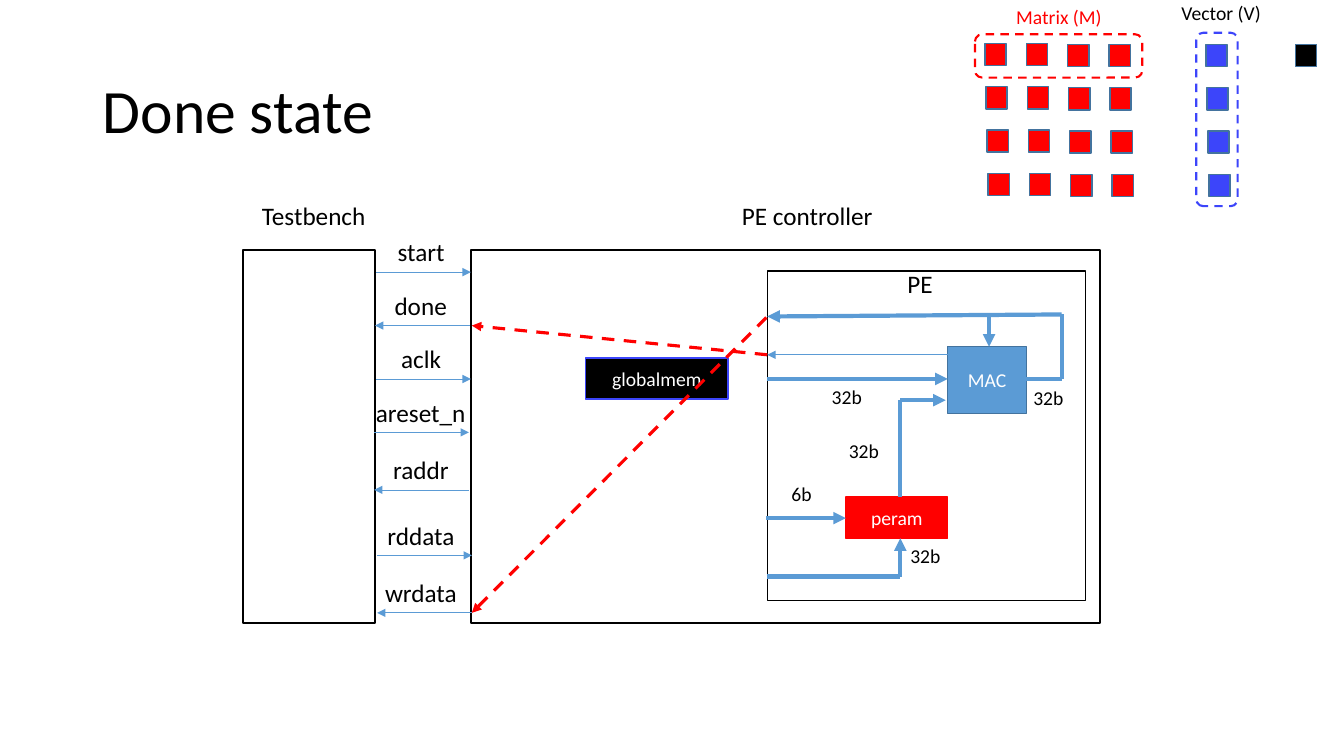
from lxml import etree
from pptx import Presentation
from pptx.dml.color import RGBColor
from pptx.enum.dml import MSO_LINE
from pptx.enum.shapes import MSO_CONNECTOR, MSO_SHAPE
from pptx.enum.text import MSO_ANCHOR, MSO_AUTO_SIZE, PP_ALIGN
from pptx.oxml.ns import qn
from pptx.util import Inches, Pt

RECTANGLE = MSO_SHAPE.RECTANGLE
ROUNDED = MSO_SHAPE.ROUNDED_RECTANGLE
STRAIGHT = MSO_CONNECTOR.STRAIGHT
DASH = MSO_LINE.DASH
MIDDLE = MSO_ANCHOR.MIDDLE
TOP = MSO_ANCHOR.TOP
CENTER = PP_ALIGN.CENTER
LEFT = PP_ALIGN.LEFT
FIT_SHAPE = MSO_AUTO_SIZE.SHAPE_TO_FIT_TEXT
NO_FIT = MSO_AUTO_SIZE.NONE

BLACK, WHITE, RED = "000000", "FFFFFF", "FF0000"
SKY, STEEL, INDIGO = "5B9BD5", "43739E", "3C45FA"


def color(value):
    return RGBColor.from_string(value)


class Diagram:
    font = "Calibri"

    def __init__(self, page):
        self.page = page

    def set_text(self, frame, text, size=14, ink=BLACK, align=LEFT, anchor=TOP, spacing=None):
        frame.vertical_anchor = anchor
        para = frame.paragraphs[0]
        para.alignment = align
        para.line_spacing = spacing
        span = para.add_run()
        span.text = text
        span.font.name = self.font
        span.font.size = Pt(size)
        span.font.color.rgb = color(ink)

    def label(self, text, left, top, width, height, wrap=False, fit=FIT_SHAPE, **style):
        box = self.page.shapes.add_textbox(
            Inches(left), Inches(top), Inches(width), Inches(height))
        box.text_frame.word_wrap = wrap
        box.text_frame.auto_size = fit
        self.set_text(box.text_frame, text, **style)

    def block(self, left, top, width, height, line, fill=None, text=None,
              kind=RECTANGLE, weight=1, dash=None, rotation=0):
        box = self.page.shapes.add_shape(
            kind, Inches(left), Inches(top), Inches(width), Inches(height))
        box.shadow.inherit = False
        box.rotation = rotation
        if fill:
            box.fill.solid()
            box.fill.fore_color.rgb = color(fill)
        else:
            box.fill.background()
        box.line.color.rgb = color(line)
        box.line.width = Pt(weight)
        if dash:
            box.line.dash_style = dash
        if text:
            self.set_text(box.text_frame, text, ink=WHITE, align=CENTER, anchor=MIDDLE)

    def wire(self, start, end, weight=3.0, arrow=True, line=SKY, dash=None):
        points = [Inches(value) for value in (*start, *end)]
        connector = self.page.shapes.add_connector(STRAIGHT, *points)
        connector.line.color.rgb = color(line)
        connector.line.width = Pt(weight)
        if dash:
            connector.line.dash_style = dash
        properties = connector._element.spPr
        if arrow:
            etree.SubElement(properties.find(qn("a:ln")), qn("a:tailEnd"), type="triangle")
        etree.SubElement(properties, qn("a:effectLst"))

    def cell(self, left, top, fill):
        self.block(left, top, 0.21, 0.22, STEEL, fill)


def draw_processing_element(diagram):
    diagram.block(7.61, 2.69, 3.16, 3.27, BLACK)
    diagram.block(8.39, 4.93, 1.01, 0.41, RED, RED, "peram")
    diagram.block(9.4, 3.44, 0.78, 0.66, STEEL, SKY, "MAC")
    diagram.wire((9.4, 3.52), (7.61, 3.52), weight=0.5)
    for start, end, arrow in (
        ((7.61, 3.76), (9.4, 3.76), True),
        ((10.17, 3.76), (10.53, 3.76), False),
        ((10.53, 3.12), (10.53, 3.76), False),
        ((10.53, 3.12), (7.61, 3.14), True),
        ((9.81, 3.13), (9.81, 3.44), True),
        ((8.93, 4.93), (8.93, 3.97), False),
        ((8.93, 3.97), (9.38, 3.97), True),
        ((7.61, 5.72), (8.93, 5.72), False),
        ((8.93, 5.72), (8.93, 5.34), True),
        ((7.6, 5.14), (8.39, 5.14), True),
    ):
        diagram.wire(start, end, arrow=arrow)
    diagram.label("6b", 7.75, 4.73, 0.52, 0.45)
    for left, top in ((8.32, 4.31), (8.93, 5.35), (10.15, 3.78), (8.15, 3.77)):
        diagram.label("32b", left, top, 0.65, 0.45)


def draw_controller(diagram):
    diagram.block(5.81, 3.55, 1.41, 0.41, INDIGO, BLACK, "globalmem")
    diagram.block(2.41, 2.48, 1.31, 3.7, BLACK)
    diagram.block(4.67, 2.48, 6.24, 3.7, BLACK)
    diagram.label("Testbench", 2.5, 1.94, 1.27, 0.4, wrap=True, size=18)
    diagram.label("PE", 8.9, 2.61, 0.58, 0.54, size=18)
    diagram.label("PE controller", 7.26, 1.94, 1.93, 0.54, size=18)


def draw_signals(diagram):
    middle = 4.18
    for name, width, left, level, to_controller in (
        ("start", 0.67, 3.73, 2.7, True),
        ("done", 0.73, 3.72, 3.23, False),
        ("aclk", 0.6, 3.73, 3.76, True),
        ("areset_n", 1.1, 3.71, 4.29, True),
        ("raddr", 0.76, 3.71, 4.86, False),
        ("rddata", 0.87, 3.74, 5.51, True),
        ("wrdata", 0.92, 3.74, 6.08, False),
    ):
        ends = [(left, level), (left + 0.94, level)]
        if not to_controller:
            ends.reverse()
        diagram.wire(*ends, weight=0.5)
        diagram.label(name, middle - width / 2, level - 0.4, width, 0.4, size=18)
    for start, end in (((7.61, 3.52), (4.68, 3.23)), ((7.6, 3.15), (4.68, 6.08))):
        diagram.wire(start, end, weight=2.25, line=RED, dash=DASH)


def draw_operands(diagram):
    for row in range(4):
        drift, top = 0.01 * row, 0.43 + 0.43 * row
        for column in range(4):
            drop = 0.01 if column > 1 else 0
            diagram.cell(9.77 + 0.41 * column + drift, top + drop, RED)
        diagram.cell(11.96 + drift, top + 0.01, INDIGO)
    diagram.label("Matrix (M)", 9.98, 0, 1.06, 0.34, ink=RED)
    diagram.label("Vector (V)", 11.62, -0.04, 1, 0.34)
    diagram.block(9.67, 0.34, 1.66, 0.43, RED, kind=ROUNDED, weight=1.5, dash=DASH)
    diagram.block(11.21, 0.98, 1.72, 0.41, INDIGO, kind=ROUNDED, weight=1.5,
                  dash=DASH, rotation=270)
    diagram.cell(12.85, 0.44, BLACK)


def main():
    deck = Presentation()
    deck.slide_width, deck.slide_height = Inches(13.33), Inches(7.5)
    diagram = Diagram(deck.slides.add_slide(deck.slide_layouts[6]))
    diagram.label("Done state", 0.92, 0.4, 11.5, 1.45, wrap=True, fit=NO_FIT,
                  size=44, anchor=MIDDLE, spacing=0.9)
    draw_processing_element(diagram)
    draw_controller(diagram)
    draw_signals(diagram)
    draw_operands(diagram)
    deck.save("out.pptx")


if __name__ == "__main__":
    main()
